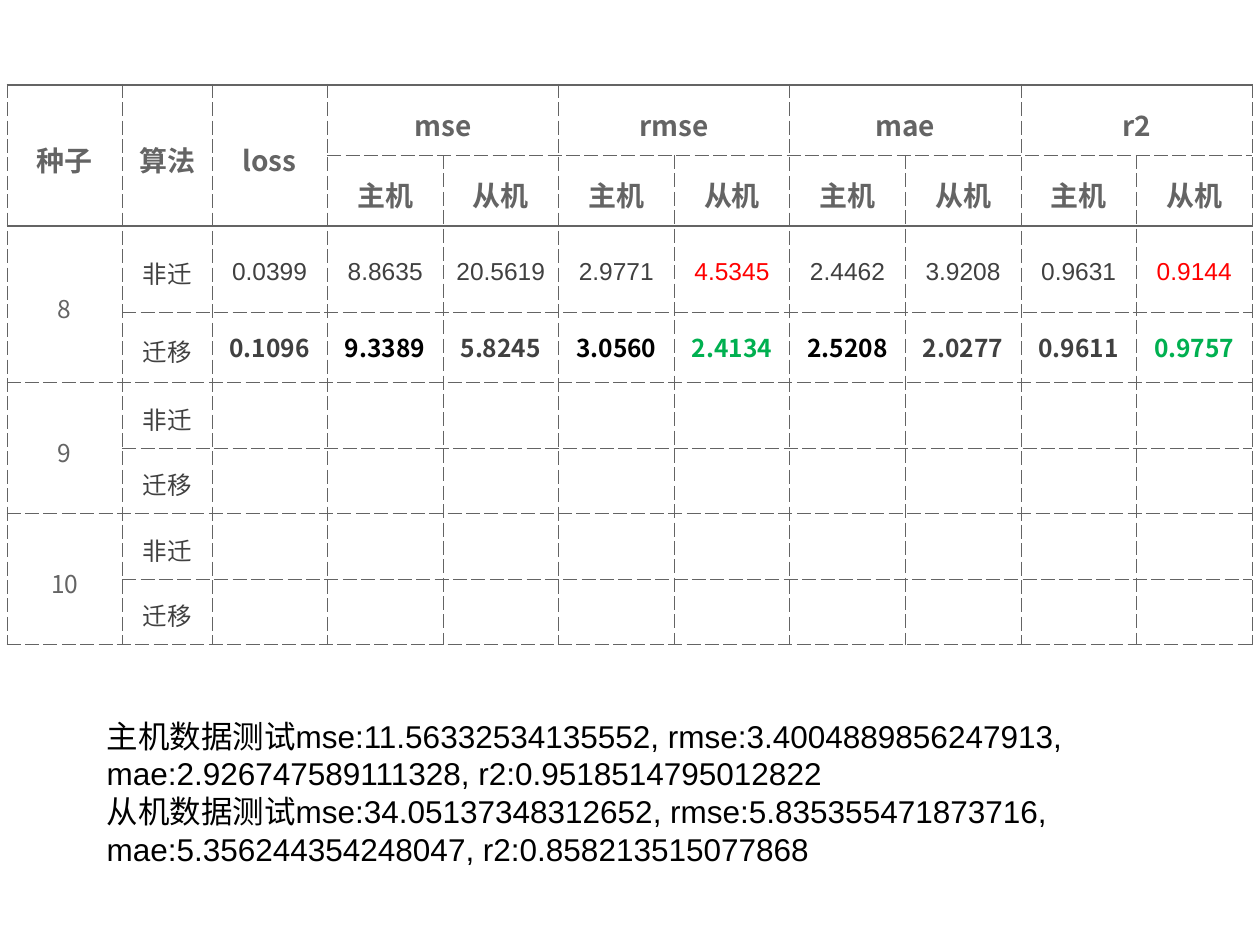
from lxml import etree
from pptx import Presentation
from pptx import util as u
from pptx.dml.color import RGBColor
from pptx.enum import text
from pptx.oxml import ns

GREY = RGBColor(0x64, 0x64, 0x64)
DARK = RGBColor(0x40, 0x40, 0x40)
BLACK = RGBColor(0, 0, 0)
RED = RGBColor(0xFF, 0, 0)
GREEN = RGBColor(0, 0xB0, 0x50)
WHITE = RGBColor(0xFF, 0xFF, 0xFF)
SANS = "Noto Sans CJK SC"
LATIN = "Arial"

COLUMN_WIDTHS = [2.33, 1.8] + [2.33] * 9
ROW_HEIGHTS = [1.42, 1.42, 1.74, 1.42] + [1.32] * 4
HEADER_ROWS = 2
SEEDS = ["8", "9", "10"]
ALGORITHMS = ["非迁", "迁移"]
METRICS = ["mse", "rmse", "mae", "r2"]
MACHINES = ["主机", "从机"]

BASELINE_SCORES = ["0.0399", "8.8635", "20.5619", "2.9771", "4.5345",
                   "2.4462", "3.9208", "0.9631", "0.9144"]
BASELINE_COLORS = [DARK, DARK, DARK, DARK, RED, DARK, DARK, DARK, RED]
TRANSFER_SCORES = ["0.1096", "9.3389", "5.8245", "3.0560", "2.4134",
                   "2.5208", "2.0277", "0.9611", "0.9757"]
TRANSFER_COLORS = [DARK, BLACK, DARK, BLACK, GREEN, BLACK, DARK, DARK, GREEN]

TEST_RESULTS = [
    "主机数据测试mse:11.56332534135552, rmse:3.4004889856247913, "
    "mae:2.926747589111328, r2:0.9518514795012822",
    "从机数据测试mse:34.05137348312652, rmse:5.835355471873716, "
    "mae:5.356244354248047, r2:0.858213515077868",
]


def add_run(paragraph, content, size, font, color, bold=False):
    run = paragraph.add_run()
    run.text = content
    run.font.size = u.Pt(size)
    run.font.name = font
    run.font.bold = bold
    run.font.color.rgb = color
    east_asian = etree.Element(ns.qn("a:ea"), typeface=SANS)
    run.font._element.find(ns.qn("a:latin")).addnext(east_asian)


def add_border(cell, side, solid):
    """Draw one cell edge: solid around the header, thin dashes elsewhere."""
    width = u.Pt(1.08 if solid else 0.34)
    properties = cell._tc.get_or_add_tcPr()
    line = etree.SubElement(properties, ns.qn(f"a:ln{side}"), w=str(width))
    fill = etree.SubElement(line, ns.qn("a:solidFill"))
    etree.SubElement(fill, ns.qn("a:srgbClr"), val=str(GREY))
    etree.SubElement(line, ns.qn("a:prstDash"), val="solid" if solid else "dash")


def style_cell(cell, row):
    bottom = row + (cell.span_height if cell.is_merge_origin else 1)
    solid_edges = (0, HEADER_ROWS)
    add_border(cell, "L", False)
    add_border(cell, "R", False)
    add_border(cell, "T", row in solid_edges)
    add_border(cell, "B", bottom in solid_edges)
    cell.fill.solid()
    cell.fill.fore_color.rgb = WHITE
    cell.vertical_anchor = text.MSO_ANCHOR.MIDDLE
    cell.margin_left = cell.margin_right = u.Cm(0.15)


def write_cell(cell, content, size=14, font=SANS, color=DARK, bold=False, spacing=1.2):
    paragraph = cell.text_frame.paragraphs[0]
    paragraph.alignment = text.PP_ALIGN.CENTER
    paragraph.line_spacing = spacing
    add_run(paragraph, content, size, font, color, bold)


def write_header(table):
    heading = {"size": 16, "color": GREY, "bold": True}
    for column, label in enumerate(["种子", "算法", "loss"]):
        table.cell(0, column).merge(table.cell(1, column))
        write_cell(table.cell(0, column), label, **heading)
    for index, metric in enumerate(METRICS):
        first = 3 + index * len(MACHINES)
        table.cell(0, first).merge(table.cell(0, first + 1))
        write_cell(table.cell(0, first), metric, **heading)
        for offset, machine in enumerate(MACHINES):
            write_cell(table.cell(1, first + offset), machine, **heading)


def write_seeds(table):
    for index, seed in enumerate(SEEDS):
        first = HEADER_ROWS + index * len(ALGORITHMS)
        table.cell(first, 0).merge(table.cell(first + 1, 0))
        write_cell(table.cell(first, 0), seed, color=GREY)
        for offset, algorithm in enumerate(ALGORITHMS):
            write_cell(table.cell(first + offset, 1), algorithm)


def write_scores(table, row, scores, colors, **style):
    for column, (score, color) in enumerate(zip(scores, colors), start=2):
        write_cell(table.cell(row, column), score, color=color, **style)


def add_score_table(slide):
    frame = slide.shapes.add_table(
        len(ROW_HEIGHTS), len(COLUMN_WIDTHS), u.Cm(0.14), u.Cm(1.71),
        u.Cm(sum(COLUMN_WIDTHS)), u.Cm(sum(ROW_HEIGHTS)))
    table = frame.table
    table.first_row = table.horz_banding = False
    for column, width in zip(table.columns, COLUMN_WIDTHS):
        column.width = u.Cm(width)
    for row, height in zip(table.rows, ROW_HEIGHTS):
        row.height = u.Cm(height)
    write_header(table)
    write_seeds(table)
    write_scores(table, 2, BASELINE_SCORES, BASELINE_COLORS, font=LATIN)
    write_scores(table, 3, TRANSFER_SCORES, TRANSFER_COLORS, bold=True, spacing=1.0)
    for row in range(len(ROW_HEIGHTS)):
        for column in range(len(COLUMN_WIDTHS)):
            style_cell(table.cell(row, column), row)


def add_test_results(slide):
    box = slide.shapes.add_textbox(u.Cm(1.9), u.Cm(14.32), u.Cm(20.98), u.Cm(3.3))
    frame = box.text_frame
    frame.word_wrap = True
    frame.auto_size = text.MSO_AUTO_SIZE.SHAPE_TO_FIT_TEXT
    for index, result in enumerate(TEST_RESULTS):
        paragraph = frame.add_paragraph() if index else frame.paragraphs[0]
        add_run(paragraph, result, 18, LATIN, BLACK)


def main():
    presentation = Presentation()
    presentation.slide_width = u.Cm(25.4)
    presentation.slide_height = u.Cm(19.05)
    slide = presentation.slides.add_slide(presentation.slide_layouts[6])
    add_score_table(slide)
    add_test_results(slide)
    presentation.save("out.pptx")


if __name__ == "__main__":
    main()
